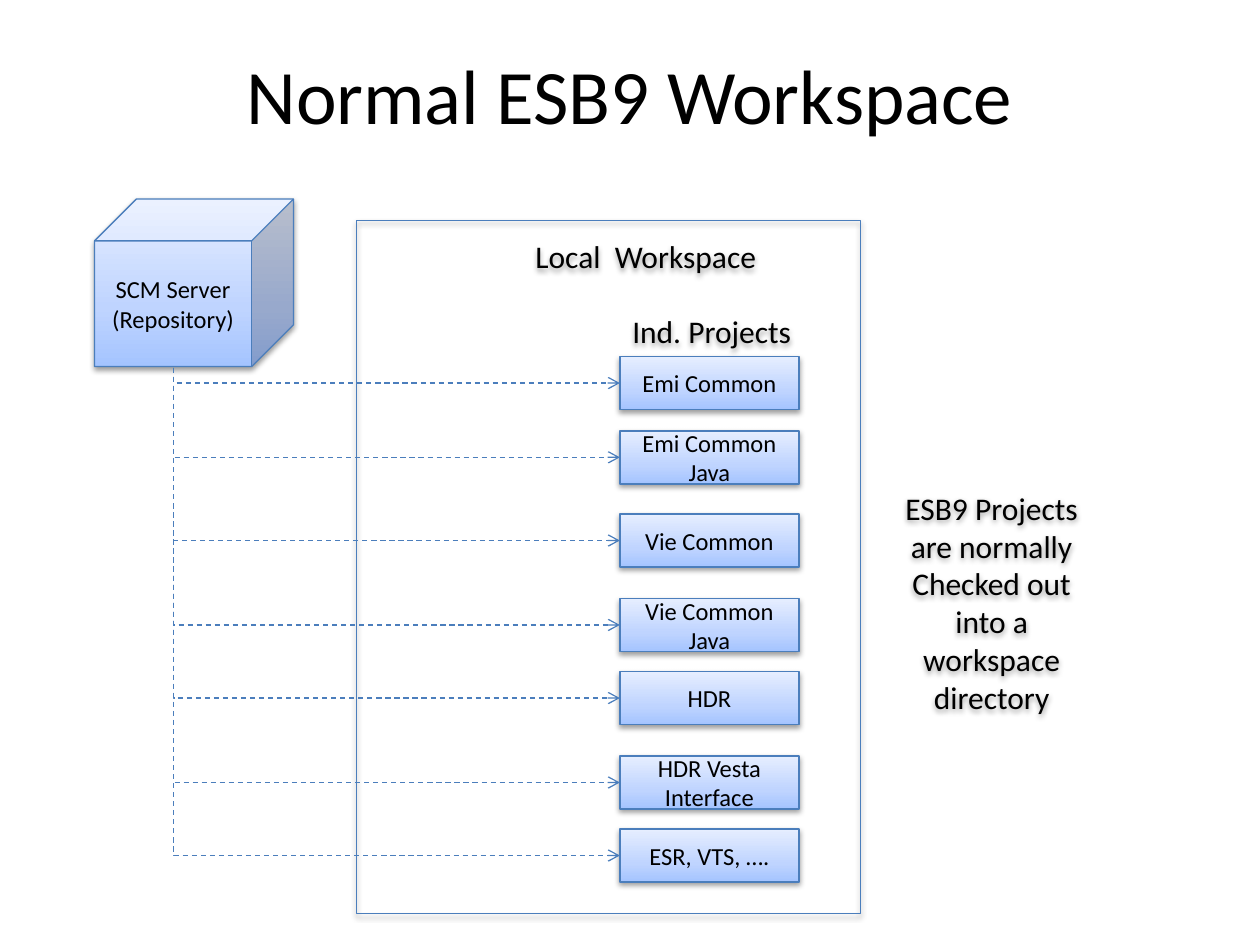
import pptx
import pptx.util
import pptx.oxml
import pptx.oxml.ns
import pptx.dml.color
import pptx.enum.dml
import pptx.enum.shapes
import pptx.enum.text
from pptx.util import Inches

COLORS = {
    "line": "4B7EBC",
    "deep": "A4C4FF",
    "mid": "BFD4FF",
    "pale": "E6EEFF",
    "text": "000000",
    "shadow": "000000",
}
FONT = "Calibri"
GRADIENT = [(0, "deep"), (35, "mid"), (100, "pale")]
PROJECTS = [
    ("Emi Common", 2.83),
    ("Emi Common Java", 3.42),
    ("Vie Common", 4.08),
    ("Vie Common Java", 4.75),
    ("HDR", 5.33),
    ("HDR Vesta Interface", 6),
    ("ESR, VTS, ….", 6.58),
]
PROJECT_LEFT, PROJECT_WIDTH, PROJECT_HEIGHT = 4.92, 1.42, 0.42
SERVER_FOOT = (1.38, 2.92)
SHAPE = pptx.enum.shapes.MSO_SHAPE
ALIGN = pptx.enum.text.PP_ALIGN


def rgb(name):
    return pptx.dml.color.RGBColor.from_string(COLORS[name])


def xml(text):
    return pptx.oxml.parse_xml(text.replace(">", f" {pptx.oxml.ns.nsdecls('a')}>", 1))


def style_line(line):
    line.color.rgb = rgb("line")
    line.width = pptx.util.Pt(0.75)


def add_shadow(sp):
    sp.shadow.inherit = False
    effects = sp.element.spPr.find(pptx.oxml.ns.qn("a:effectLst"))
    effects.append(xml(
        '<a:outerShdw blurRad="40000" dist="20000" dir="5400000" rotWithShape="0">'
        f'<a:srgbClr val="{COLORS["shadow"]}"><a:alpha val="38000"/></a:srgbClr>'
        '</a:outerShdw>'))


def fill_gradient(sp):
    sp.fill.gradient()
    grad = sp.element.spPr.find(pptx.oxml.ns.qn("a:gradFill"))
    for child in list(grad):
        grad.remove(child)
    stops = "".join(
        f'<a:gs pos="{pos * 1000}"><a:srgbClr val="{COLORS[name]}"/></a:gs>'
        for pos, name in GRADIENT)
    grad.append(xml(f"<a:gsLst>{stops}</a:gsLst>"))
    grad.append(xml('<a:lin ang="16200000" scaled="1"></a:lin>'))


def write(tf, lines, size, align=ALIGN.CENTER):
    for i, line in enumerate(lines):
        p = tf.paragraphs[0] if i == 0 else tf.add_paragraph()
        p.text = line
        p.alignment = align
        p.font.name = FONT
        p.font.size = pptx.util.Pt(size)
        p.font.color.rgb = rgb("text")


def add_box(slide, kind, x, y, w, h, lines=()):
    sp = slide.shapes.add_shape(kind, Inches(x), Inches(y), Inches(w), Inches(h))
    if lines:
        fill_gradient(sp)
    else:
        sp.fill.background()
    style_line(sp.line)
    add_shadow(sp)
    sp.text_frame.word_wrap = True
    sp.text_frame.vertical_anchor = pptx.enum.text.MSO_ANCHOR.MIDDLE
    write(sp.text_frame, lines, 14)


def add_text(slide, x, y, w, h, lines, size=18, align=ALIGN.CENTER, wrap=True, shadow=True):
    sp = slide.shapes.add_textbox(Inches(x), Inches(y), Inches(w), Inches(h))
    tf = sp.text_frame
    tf.word_wrap = wrap
    tf.auto_size = pptx.enum.text.MSO_AUTO_SIZE.SHAPE_TO_FIT_TEXT
    write(tf, lines, size, align)
    if shadow:
        add_shadow(sp)


def add_checkout_arrow(slide, start, end):
    (x1, y1), (x2, y2) = start, end
    w, h = y2 - y1, x2 - x1
    left, top = (x1 + x2 - w) / 2, (y1 + y2 - h) / 2
    connector = slide.shapes.add_connector(
        pptx.enum.shapes.MSO_CONNECTOR.ELBOW,
        Inches(left), Inches(top), Inches(left + w), Inches(top + h))
    style_line(connector.line)
    connector.line.dash_style = pptx.enum.dml.MSO_LINE.DASH
    props = connector.element.spPr
    props.find(pptx.oxml.ns.qn("a:prstGeom")).set("prst", "bentConnector2")
    xfrm = props.find(pptx.oxml.ns.qn("a:xfrm"))
    xfrm.set("rot", "16200000")
    xfrm.set("flipH", "1")
    props.find(pptx.oxml.ns.qn("a:ln")).append(xml('<a:tailEnd type="arrow"></a:tailEnd>'))
    props.append(xml("<a:effectLst></a:effectLst>"))


def main():
    prs = pptx.Presentation()
    prs.slide_width, prs.slide_height = Inches(10), Inches(7.5)
    slide = prs.slides.add_slide(prs.slide_layouts[6])

    add_box(slide, SHAPE.FLOWCHART_PROCESS, 2.83, 1.75, 4, 5.5)
    for name, top in PROJECTS:
        add_box(slide, SHAPE.FLOWCHART_PROCESS, PROJECT_LEFT, top,
                PROJECT_WIDTH, PROJECT_HEIGHT, [name])
    add_text(slide, 4.92, 2.43, 1.47, 0.4, ["Ind. Projects"], align=ALIGN.LEFT, wrap=False)
    add_box(slide, SHAPE.CUBE, 0.75, 1.58, 1.58, 1.33, ["SCM Server", "(Repository)"])
    add_text(slide, 3.5, 1.83, 3.25, 0.4, ["Local  Workspace"])
    for _, top in PROJECTS:
        add_checkout_arrow(slide, SERVER_FOOT, (PROJECT_LEFT, top + PROJECT_HEIGHT / 2))
    add_text(slide, 7.08, 3.83, 1.58, 1.92,
             ["ESB9 Projects ", "are normally", "Checked out into a workspace directory"])
    add_text(slide, 0, 0.33, 10, 0.84, ["Normal ESB9 Workspace"], size=44, shadow=False)

    prs.save("out.pptx")


main()
